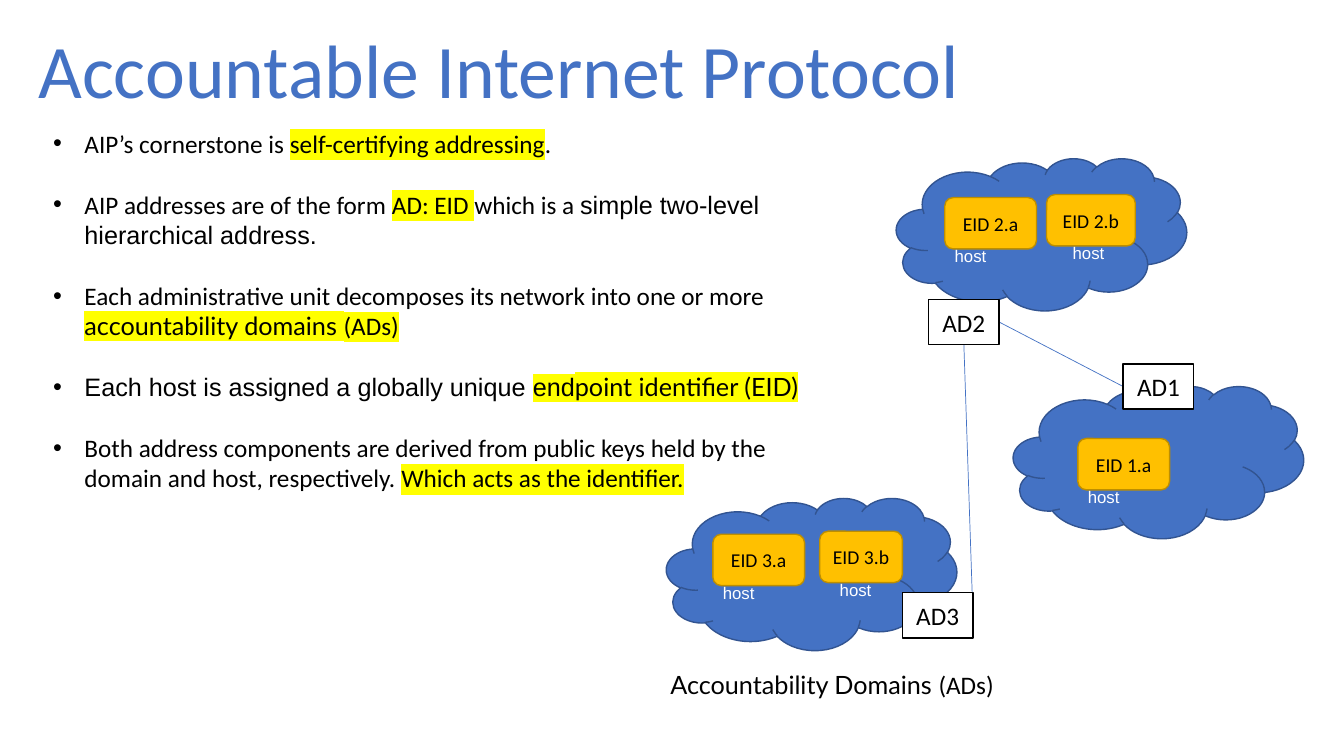
from lxml import etree
from pptx import Presentation
from pptx.dml.color import RGBColor
from pptx.enum.shapes import MSO_CONNECTOR, MSO_SHAPE
from pptx.enum.text import MSO_ANCHOR, MSO_AUTO_SIZE, PP_ALIGN
from pptx.oxml.ns import qn
from pptx.util import Inches, Pt

STRAIGHT = MSO_CONNECTOR.STRAIGHT
CLOUD, BOX, ROUNDED = MSO_SHAPE.CLOUD, MSO_SHAPE.RECTANGLE, MSO_SHAPE.ROUNDED_RECTANGLE
LEFT, CENTER = PP_ALIGN.LEFT, PP_ALIGN.CENTER
TOP, MIDDLE = MSO_ANCHOR.TOP, MSO_ANCHOR.MIDDLE
NO_AUTOFIT = MSO_AUTO_SIZE.NONE
SIDE_LEFT, SIDE_BOTTOM, SIDE_RIGHT = 1, 2, 3

BLUE, BLACK, WHITE = "4472C4", "000000", "FFFFFF"
YELLOW, AMBER = "FFFF00", "FFC000"
CLOUD_EDGE, AMBER_EDGE = "325491", "BD8E00"

TITLE = "Accountable Internet Protocol"

# Each run: text, font, highlighted
BULLETS = [
    [("AIP’s cornerstone is ", "Calibri", False),
     ("self-certifying addressing", "Calibri", True),
     (".", "Calibri", False)],
    [("AIP addresses are of the form ", "Calibri", False),
     ("AD: EID ", "Calibri", True),
     ("which is a ", "Calibri", False),
     ("simple two-level hierarchical address. ", "Arial", False)],
    [("Each administrative unit decomposes its network into one or more ", "Calibri", False),
     ("accountability domains ", "Lato", True),
     ("(ADs)", "Calibri", True)],
    [("Each host is assigned a globally unique ", "Arial", False),
     ("end", "Arial", True),
     ("point identifier (EID)", "Lato", True)],
    [("Both address components are derived from public keys held by the domain "
      "and host, respectively. ", "Calibri", False),
     ("Which acts as the identifier.", "Calibri", True)],
]
CAPTION = [("Accountability Domains ", "Lato", False), ("(ADs)", "Calibri", False)]

# Each endpoint: name, left, top, width, offset of its host label
DOMAINS = {
    "AD1": {"cloud": (10.05, 3.83), "box": (11.14, 3.61),
            "endpoints": [("EID 1.a", 10.69, 4.35, 0.91, 0)]},
    "AD2": {"cloud": (8.89, 1.57), "box": (9.21, 2.97),
            "endpoints": [("EID 2.b", 10.38, 1.93, 0.88, 0.16),
                          ("EID 2.a", 9.37, 1.96, 0.91, 0)]},
    "AD3": {"cloud": (6.61, 4.94), "box": (8.95, 5.88),
            "endpoints": [("EID 3.b", 8.13, 5.27, 0.82, 0.1),
                          ("EID 3.a", 7.07, 5.3, 0.91, 0)]},
}
LINKS = [("AD3", SIDE_RIGHT, "AD2", SIDE_BOTTOM), ("AD2", SIDE_RIGHT, "AD1", SIDE_LEFT)]

CLOUD_SIZE = (2.88, 1.51)
BOX_SIZE = (0.7, 0.45)
ENDPOINT_HEIGHT = 0.51
HOST_SIZE = (0.75, 0.3)
HOST_DROP = 0.43


def color(hex_string):
    return RGBColor.from_string(hex_string)


def set_attributes(target, values):
    for name, value in values.items():
        setattr(target, name, value)


def write_runs(paragraph, runs, size, text_color=BLACK):
    for text, font_name, highlighted in runs:
        run = paragraph.add_run()
        run.text = text
        run.font.color.rgb = color(text_color)
        set_attributes(run.font, {"size": Pt(size), "name": font_name})
        if highlighted:
            highlight = etree.Element(qn("a:highlight"))
            etree.SubElement(highlight, qn("a:srgbClr"), val=YELLOW)
            run.font._element.find(qn("a:latin")).addprevious(highlight)


def add_bullet(paragraph):
    properties = paragraph._p.get_or_add_pPr()
    properties.set("marL", str(Inches(0.31)))
    properties.set("indent", str(-Inches(0.31)))
    etree.SubElement(properties, qn("a:buFont"), typeface="Arial")
    etree.SubElement(properties, qn("a:buChar"), char="•")


def add_text(slide, position, size):
    text_box = slide.shapes.add_textbox(*map(Inches, position + size))
    text_box.text_frame.word_wrap = True
    return text_box.text_frame


def add_shape(slide, kind, position, size, fill, edge, label=None, label_size=18):
    shape = slide.shapes.add_shape(kind, *map(Inches, position + size))
    shape.shadow.inherit = False
    shape.fill.solid()
    shape.fill.fore_color.rgb = color(fill)
    shape.line.color.rgb = color(edge)
    shape.line.width = Pt(1)
    if label:
        set_attributes(shape.text_frame, {
            "vertical_anchor": MIDDLE, "word_wrap": False,
            "margin_left": 0, "margin_right": 0})
        paragraph = shape.text_frame.paragraphs[0]
        paragraph.alignment = CENTER
        write_runs(paragraph, [(label, "Calibri", False)], label_size)
    return shape


def add_link(slide):
    """Add a thin line whose ends are joined to domain boxes later."""
    link = slide.shapes.add_connector(STRAIGHT, 0, 0, 0, 0)
    link.line.color.rgb = color(BLUE)
    link.line.width = Pt(0.5)
    etree.SubElement(link._element.spPr, qn("a:effectLst"))
    return link


def add_title(slide):
    title = slide.shapes.title
    set_attributes(title, {"left": Inches(0.28), "top": Inches(0.18),
                           "width": Inches(12.1), "height": Inches(1.01)})
    set_attributes(title.text_frame, {
        "vertical_anchor": TOP, "word_wrap": True, "auto_size": NO_AUTOFIT})
    paragraph = title.text_frame.paragraphs[0]
    paragraph.alignment = LEFT
    write_runs(paragraph, [(TITLE, "Calibri", False)], 54, BLUE)


def add_bullets(slide):
    frame = add_text(slide, (0.43, 1.22), (7.76, 3.74))
    for index, runs in enumerate(BULLETS):
        paragraph = frame.add_paragraph() if index else frame.paragraphs[0]
        paragraph.space_after = Pt(22)
        add_bullet(paragraph)
        write_runs(paragraph, runs, 18)


def add_domains(slide):
    for domain in DOMAINS.values():
        add_shape(slide, CLOUD, domain["cloud"], CLOUD_SIZE, BLUE, CLOUD_EDGE)
    links = [add_link(slide) for _ in LINKS]
    boxes = {name: add_shape(slide, BOX, domain["box"], BOX_SIZE, WHITE, BLACK, name)
             for name, domain in DOMAINS.items()}
    for link, (start, start_side, end, end_side) in zip(links, LINKS):
        link.begin_connect(boxes[start], start_side)
        link.end_connect(boxes[end], end_side)
    for domain in DOMAINS.values():
        for name, left, top, width, host_offset in domain["endpoints"]:
            add_shape(slide, ROUNDED, (left, top), (width, ENDPOINT_HEIGHT),
                      AMBER, AMBER_EDGE, name, 14)
            host = add_text(slide, (left + host_offset, top + HOST_DROP), HOST_SIZE)
            write_runs(host.paragraphs[0], [("host", "Arial", False)], 12, WHITE)


def main():
    presentation = Presentation()
    presentation.slide_width = Inches(13.33)
    presentation.slide_height = Inches(7.5)
    slide = presentation.slides.add_slide(presentation.slide_layouts[5])
    add_title(slide)
    add_bullets(slide)
    add_domains(slide)
    caption = add_text(slide, (6.55, 6.59), (3.42, 0.4))
    write_runs(caption.paragraphs[0], CAPTION, 18)
    presentation.save("out.pptx")


if __name__ == "__main__":
    main()
